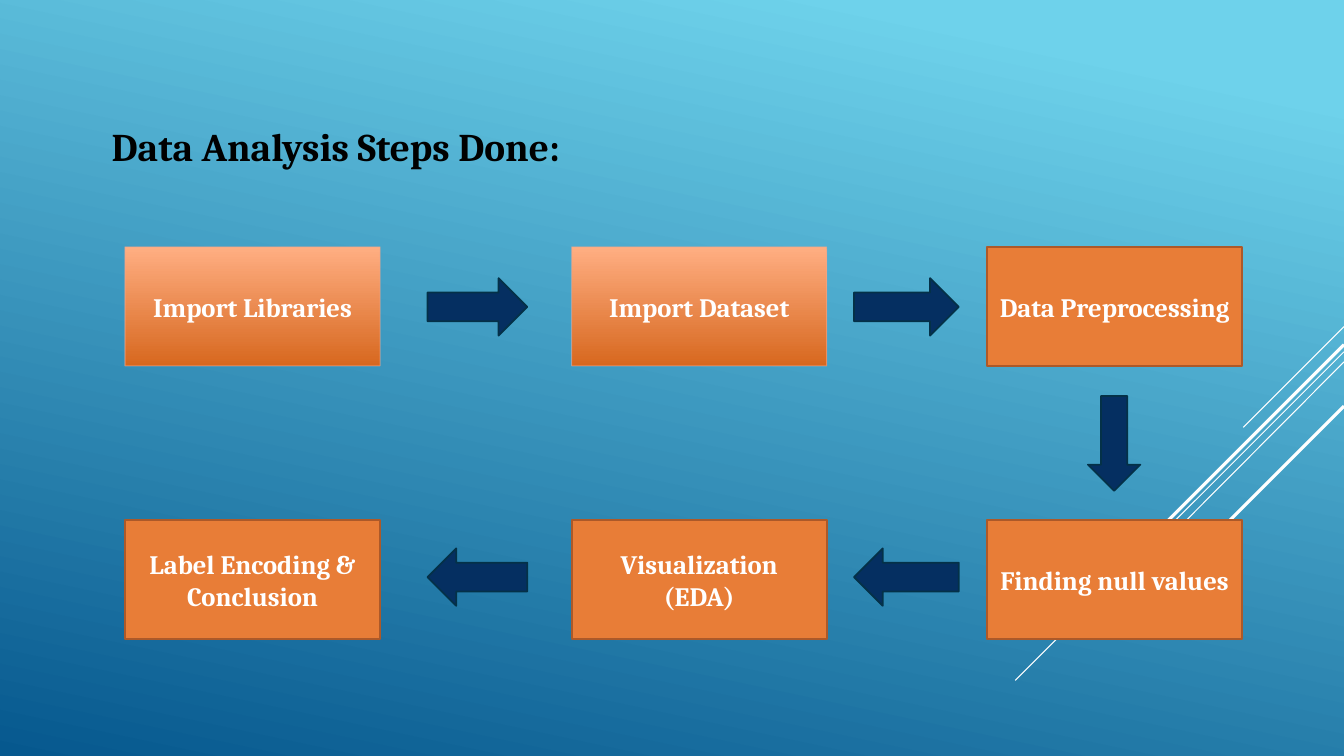
from lxml.etree import SubElement
from pptx import Presentation
from pptx.dml.color import RGBColor
from pptx.enum.shapes import MSO_CONNECTOR as Connector, MSO_SHAPE as Shape
from pptx.enum.text import MSO_ANCHOR as Anchor, MSO_AUTO_SIZE as AutoSize, PP_ALIGN as Align
from pptx.oxml.ns import qn
from pptx.util import Inches, Pt


def rgb(value):
    return RGBColor.from_string(value)


class FlowSlide:
    font = "Cambria"
    white, black = "FFFFFF", "000000"
    orange, orange_edge = "E87D37", "AC5929"
    peach, rust, peach_edge = "FFAE82", "D7681F", "EEA78F"
    navy, navy_edge = "052F61", "043148"

    def __init__(self, deck):
        self.slide = deck.slides.add_slide(deck.slide_layouts[6])

    def gradient(self, fill, stops, clockwise):
        fill.gradient()
        fill.gradient_angle = 360 - clockwise
        for stop, (position, color) in zip(fill.gradient_stops, stops):
            stop.position = position
            stop.color.rgb = rgb(color)

    def background(self, stops, clockwise):
        self.gradient(self.slide.background.fill, stops, clockwise)

    def streak(self, x1, y1, x2, y2, weight):
        streak = self.slide.shapes.add_connector(
            Connector.STRAIGHT, Inches(x1), Inches(y1), Inches(x2), Inches(y2))
        streak.line.color.rgb = rgb(self.white)
        streak.line.width = Pt(weight)
        SubElement(streak._element.spPr, qn("a:effectLst"))

    def add_text(self, paragraph, text, size, color):
        run = paragraph.add_run()
        run.text = text
        run.font.name = self.font
        run.font.size = Pt(size)
        run.font.bold = True
        run.font.color.rgb = rgb(color)

    def title(self, text, x, y, width, height):
        title = self.slide.shapes.add_textbox(
            Inches(x), Inches(y), Inches(width), Inches(height))
        frame = title.text_frame
        frame.word_wrap = True
        frame.auto_size = AutoSize.SHAPE_TO_FIT_TEXT
        self.add_text(frame.paragraphs[0], text, 28, self.black)

    def block(self, kind, x, y, width, height, fill, edge):
        block = self.slide.shapes.add_shape(
            kind, Inches(x), Inches(y), Inches(width), Inches(height))
        block.shadow.inherit = False
        block.fill.solid()
        block.fill.fore_color.rgb = rgb(fill)
        block.line.color.rgb = rgb(edge)
        block.line.width = Pt(1.25)
        return block

    def arrow(self, kind, x, y, width, height):
        self.block(kind, x, y, width, height, self.navy, self.navy_edge)

    def step(self, lines, x, y, shaded=False):
        step = self.block(Shape.RECTANGLE, x, y, 2.53, 1.18, self.orange, self.orange_edge)
        if shaded:
            self.gradient(step.fill, [(0, self.peach), (1, self.rust)], 90)
            step.line.color.rgb = rgb(self.peach_edge)
            step.line.width = Pt(0.75)
            edge_color = step.line._ln.find(".//" + qn("a:srgbClr"))
            SubElement(edge_color, qn("a:alpha"), val="60000")
        frame = step.text_frame
        frame.word_wrap = True
        frame.vertical_anchor = Anchor.MIDDLE
        for number, line in enumerate(lines):
            paragraph = frame.add_paragraph() if number else frame.paragraphs[0]
            paragraph.alignment = Align.CENTER
            self.add_text(paragraph, line, 19, self.white)


def main():
    deck = Presentation()
    deck.slide_width, deck.slide_height = Inches(13.33), Inches(7.5)
    flow = FlowSlide(deck)

    # Background with diagonal streaks
    flow.background([(0.1, "6ED2EB"), (1, "06588E")], 102)
    right_edge = 13.33
    for top, left, bottom, weight in [
        (3.24, 12.33, 4.24, 0.75),
        (3.49, 10.07, 6.75, 0.75),
        (3.59, 11.26, 5.67, 0.75),
        (3.42, 11.42, 5.33, 2.25),
        (4.03, 11.94, 5.42, 2.25),
    ]:
        flow.streak(right_edge, top, left, bottom, weight)

    # Title
    flow.title("Data Analysis Steps Done:", 1.01, 1.16, 7.01, 0.57)

    # Steps: the upper row, then the lower row
    columns = [1.24, 5.67, 9.79]
    upper_steps = [["Import Libraries"], ["Import Dataset"], ["Data Preprocessing"]]
    lower_steps = [["Label Encoding & Conclusion"], ["Visualization", "(EDA)"],
                   ["Finding null values"]]
    for number, (x, upper, lower) in enumerate(zip(columns, upper_steps, lower_steps)):
        flow.step(upper, x, 2.45, shaded=number < 2)
        flow.step(lower, x, 5.16)

    # Arrows: right along the top, down, then left along the bottom
    for x, width in [(4.24, 0.99), (8.47, 1.04)]:
        flow.arrow(Shape.RIGHT_ARROW, x, 2.76, width, 0.57)
        flow.arrow(Shape.LEFT_ARROW, x, 5.44, width, 0.57)
    flow.arrow(Shape.DOWN_ARROW, 10.79, 3.93, 0.52, 0.94)

    deck.save("out.pptx")


if __name__ == "__main__":
    main()
